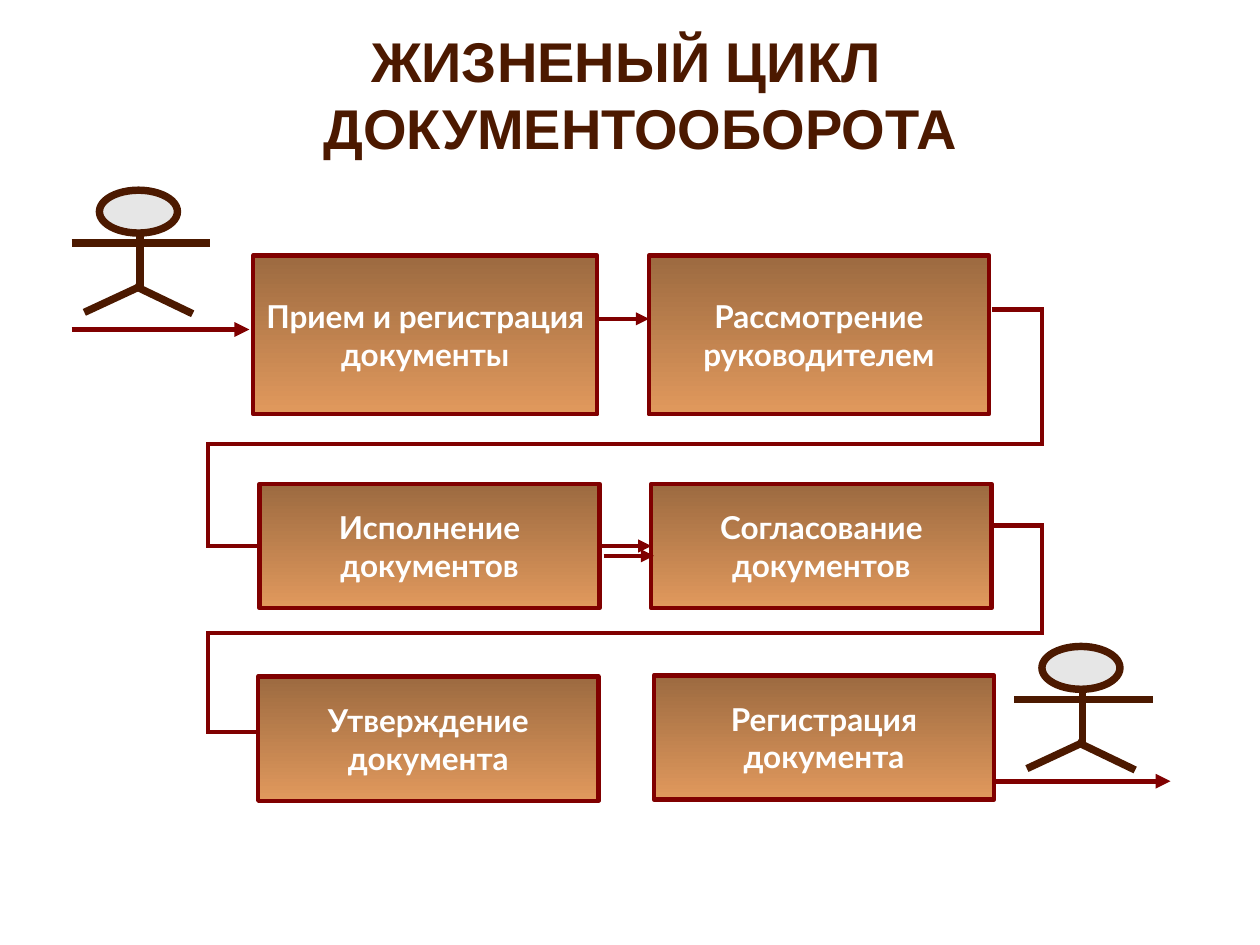
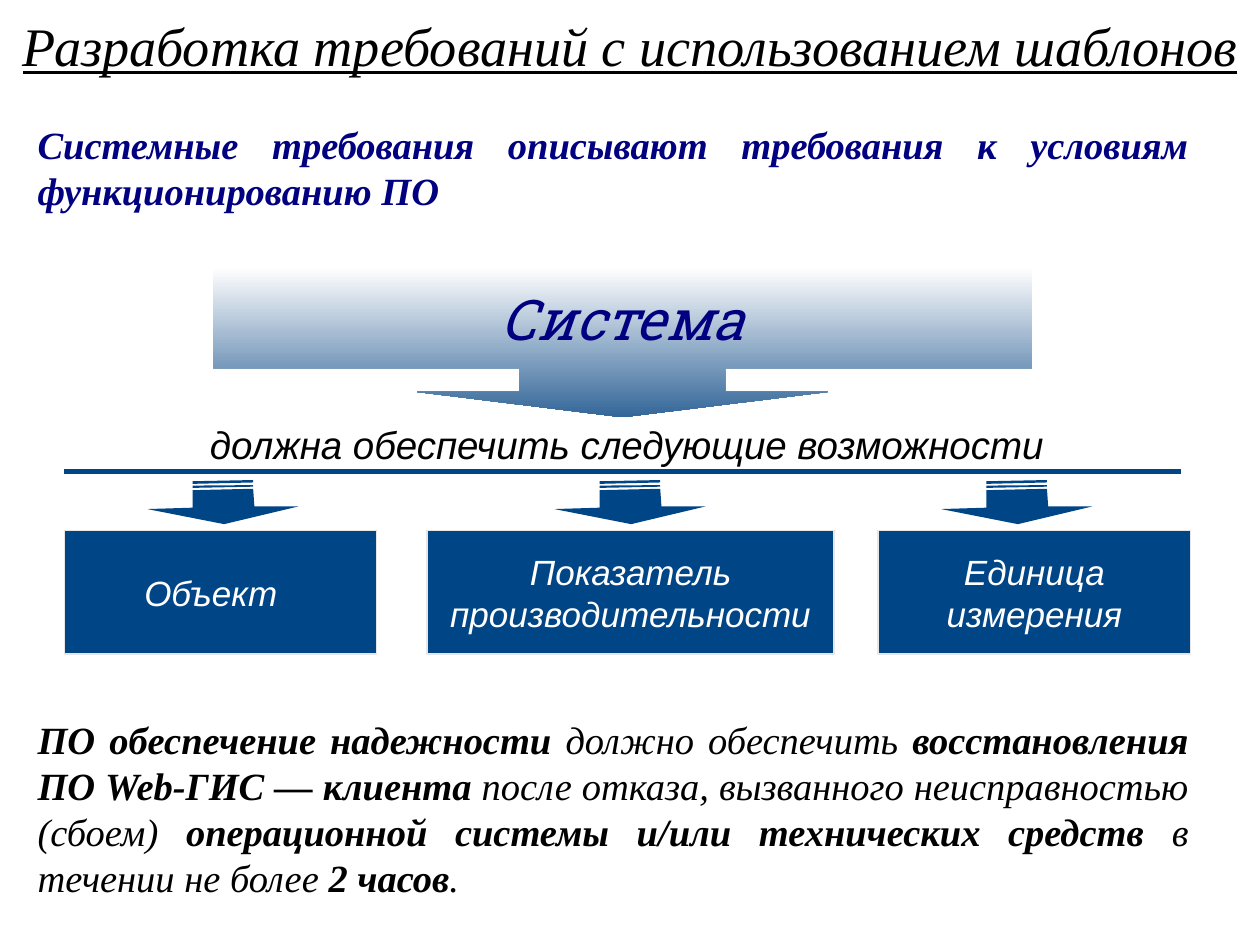
from collections import namedtuple

import pptx
import pptx.util
import pptx.dml.color
import pptx.enum.shapes
import pptx.enum.text
import pptx.oxml
import pptx.oxml.ns

Pt = pptx.util.Pt
SHAPE = pptx.enum.shapes.MSO_SHAPE
ALIGN = pptx.enum.text.PP_ALIGN
ANCHOR = pptx.enum.text.MSO_ANCHOR

COLORS = {
    "brown": "4C1900", "maroon": "800000", "copper": "9C6A40", "amber": "E1995D",
    "head": "E6E6E6", "navy": "000080", "blue": "004586", "steel": "336699",
    "mist": "FEFEFE", "white": "FFFFFF", "black": "000000",
}
TOP, LEFT, BOTTOM, RIGHT = range(4)

Box = namedtuple("Box", "left top width height")
Style = namedtuple("Style", "font size color bold italic underline align",
                   defaults=(False, False, False, ALIGN.CENTER))

LIFECYCLE_TITLE = Style("Arial", 32, "brown", bold=True)
STEP = Style("Lato", 18, "white", bold=True)
TEMPLATE_TITLE = Style("Times New Roman", 31, "black", italic=True, underline=True)
INTRO = Style("Times New Roman", 22, "navy", bold=True, italic=True, align=ALIGN.JUSTIFY)
EXAMPLE = INTRO._replace(color="black")
SYSTEM = Style("Roboto Slab", 32, "navy", italic=True)
PROMISE = Style("Arial", 22, "black", italic=True)
CARD = Style("Arial", 20, "white", italic=True)


# Shared helpers
def rgb(name):
    return pptx.dml.color.RGBColor.from_string(COLORS[name])


def shift(area, left, top, width=0, height=0):
    return Box(area.left + left, area.top + top, width, height)


def write(shape, lines, style, anchor=ANCHOR.MIDDLE, inset=(7.2, 3.6), wrap=True):
    """Each line is a list of pieces; every second piece is not bold."""
    frame = shape.text_frame
    frame.word_wrap = wrap
    frame.vertical_anchor = anchor
    frame.margin_left = frame.margin_right = Pt(inset[0])
    frame.margin_top = frame.margin_bottom = Pt(inset[1])
    for number, pieces in enumerate(lines):
        paragraph = frame.add_paragraph() if number else frame.paragraphs[0]
        paragraph.alignment = style.align
        for index, piece in enumerate(pieces):
            run = paragraph.add_run()
            run.text = piece
            run.font.name = style.font
            run.font.size = Pt(style.size)
            run.font.color.rgb = rgb(style.color)
            run.font.bold = style.bold and index % 2 == 0
            run.font.italic = style.italic
            run.font.underline = style.underline


def add_text(slide, box, lines, style, **layout):
    text = slide.shapes.add_textbox(*map(Pt, box))
    write(text, lines, style, **layout)
    return text


def indent(paragraph, side, points):
    paragraph._p.get_or_add_pPr().set(side, str(Pt(points)))


def add_block(shapes, kind, box, fill, line=None, line_width=0):
    block = shapes.add_shape(kind, *map(Pt, box))
    block.shadow.inherit = False
    if isinstance(fill, tuple):
        block.fill.gradient()
        block.fill.gradient_angle = 270
        for stop, name, position in zip(block.fill.gradient_stops, fill, (0, 1)):
            stop.color.rgb = rgb(name)
            stop.position = position
    else:
        block.fill.solid()
        block.fill.fore_color.rgb = rgb(fill)
    if line:
        block.line.color.rgb = rgb(line)
        block.line.width = Pt(line_width)
    else:
        block.line.fill.background()
    return block


def add_line(shapes, start, end, color="maroon", width=2.5, arrow=False):
    line = shapes.add_connector(pptx.enum.shapes.MSO_CONNECTOR.STRAIGHT,
                                *map(Pt, (*start, *end)))
    line.line.color.rgb = rgb(color)
    line.line.width = Pt(width)
    if arrow:
        tip = pptx.oxml.parse_xml(
            '<a:tailEnd %s type="triangle"/>' % pptx.oxml.ns.nsdecls("a"))
        line.line._get_or_add_ln().append(tip)
    line._element.spPr.append(
        pptx.oxml.parse_xml("<a:effectLst %s/>" % pptx.oxml.ns.nsdecls("a")))
    return line


# Slide 1: document life cycle
def draw_person(slide, area):
    figure = slide.shapes.add_group_shape().shapes
    add_block(figure, SHAPE.OVAL, shift(area, 15.8, 0, 44.6, 24.5), "head", "brown", 4.25)
    limbs = [
        ((0, 30.2), (79.2, 30.2)),       # arms
        ((38.9, 25.2), (38.9, 56.2)),    # body
        ((7.2, 69.8), (38.2, 55.4)),     # legs
        ((69.1, 70.6), (36, 54.7)),
    ]
    for start, end in limbs:
        add_line(figure, shift(area, *start)[:2], shift(area, *end)[:2], "brown", 4.25)


def draw_return(slide, area, exit_y, lane_y, entry_y, next_step=None):
    """Path from the right end of a row back to the left of the next one."""
    def leg(start, end):
        return add_line(slide.shapes, shift(area, *start)[:2], shift(area, *end)[:2])

    lap = 1.25
    right = area.width
    leg((right - 29, exit_y), (right, exit_y))
    leg((right, exit_y - lap), (right, lane_y + lap))
    leg((0, lane_y), (right, lane_y))
    leg((0, lane_y - lap), (0, entry_y + lap))
    entry = leg((0, entry_y), (28.6, entry_y))
    if next_step:
        entry.end_connect(next_step, LEFT)


def draw_steps(slide, area):
    rows = [
        (("Прием и регистрация документы", 25.7, 0, 196.6),
         ("Рассмотрение руководителем", 251.8, 0, 194.4), 90.7),
        (("Исполнение документов", 29.3, 130.5, 194.4),
         ("Согласование документов", 253.2, 130.5, 194.4), 71),
        (("Утверждение документа", 28.6, 240.6, 194.4),
         ("Регистрация документа", 254.7, 239.9, 194.4), 71),
    ]
    steps = []
    for *pair, height in rows:
        for label, left, top, width in pair:
            step = add_block(slide.shapes, SHAPE.RECTANGLE,
                             shift(area, left, top, width, height),
                             ("copper", "amber"), "maroon", 2.5)
            write(step, [[label]], STEP)
            steps.append(step)

    # Arrows inside the rows
    for start_x, end_x, y in ((222.3, 251.8, 36.2), (225.9, 254.7, 171.6)):
        add_line(slide.shapes, shift(area, start_x, y)[:2],
                 shift(area, end_x, y)[:2], arrow=True)
    middle = add_line(slide.shapes, shift(area, 223.7, 166)[:2],
                      shift(area, 253.2, 166)[:2], arrow=True)
    middle.begin_connect(steps[2], RIGHT)
    middle.end_connect(steps[3], LEFT)

    # Returns between the rows
    draw_return(slide, area, 30.8, 107.8, 166, steps[2])
    draw_return(slide, area, 154.2, 215.8, 172.3 + 100)


def build_lifecycle(slide):
    title = add_text(slide, Box(39.6, 11.5, 654.5, 84.2),
                     [["ЖИЗНЕНЫЙ ЦИКЛ"], ["ДОКУМЕНТООБОРОТА"]], LIFECYCLE_TITLE)
    first, second = title.text_frame.paragraphs
    indent(first, "marR", 18)
    indent(second, "marL", 16)
    draw_steps(slide, Box(119, 146, 476.6, 312))
    # People who send and receive, each with an arrow below
    for left, top, arrow_x, arrow_y in ((41, 108.7, 0, 79.6), (579.6, 369.4, -12.2, 77)):
        person = Box(left, top, 79.2, 70.6)
        draw_person(slide, person)
        add_line(slide.shapes, shift(person, arrow_x, arrow_y)[:2],
                 shift(person, arrow_x + 101.5, arrow_y)[:2], width=2.83, arrow=True)


# Slide 2: requirement template
def draw_striped_arrow(slide, area):
    outlines = [
        [(86.4, 15.1), (43.9, 25.2), (0, 16.6), (25.9, 15.8),
         (25.9, 5.8), (60.5, 5), (61.2, 15.1)],
        [(60.5, 0), (25.9, 0.7), (25.9, 2.2), (60.5, 1.4)],
        [(60.5, 2.9), (25.9, 3.2), (25.9, 4.5), (60.5, 3.8)],
    ]
    builder = None
    for outline in outlines:
        first, *rest = [tuple(map(Pt, shift(area, x, y)[:2])) for x, y in outline]
        if builder is None:
            builder = slide.shapes.build_freeform(*first, scale=1.0)
        else:
            builder.move_to(*first)
        builder.add_line_segments(rest, close=True)
    arrow = builder.convert_to_shape()
    arrow.shadow.inherit = False
    arrow.fill.solid()
    arrow.fill.fore_color.rgb = rgb("blue")
    arrow.line.fill.background()


def draw_system(slide, area):
    system = add_block(slide.shapes, SHAPE.DOWN_ARROW_CALLOUT, area, ("mist", "steel"))
    for index, value in enumerate((1.38, 1.38, 0.17, 0.67)):
        system.adjustments[index] = value
    write(system, [["Система"]], SYSTEM, wrap=False)


def draw_parts(slide, area):
    add_line(slide.shapes, area[:2], shift(area, 638, 0)[:2], "blue", 2.83)
    parts = [
        ("Объект", 0, 178.6, 47.5),
        ("Показатель производительности", 207.4, 232.6, 280.1),
        ("Единица измерения", 465.1, 178.6, 501.1),
    ]
    for label, left, width, arrow_left in parts:
        card = add_block(slide.shapes, SHAPE.RECTANGLE,
                         shift(area, left, 33.8, width, 70.6), "blue", "head", 0.75)
        write(card, [[label]], CARD, inset=(7.9, 4.3))
        if label == "Объект":
            indent(card.text_frame.paragraphs[0], "marR", 11)
        draw_striped_arrow(slide, shift(area, arrow_left, 5))


def build_template(slide):
    add_text(slide, Box(0, -2.9, 720, 56.9),
             [["Разработка требований с использованием шаблонов"]],
             TEMPLATE_TITLE, inset=(1.4, 1.4))
    add_text(slide, Box(14.4, 65.5, 671.8, 60.5),
             [["Системные требования описывают требования к условиям функционированию ПО"]],
             INTRO, anchor=ANCHOR.TOP)
    draw_system(slide, Box(121.7, 153.4, 468, 85))
    add_text(slide, Box(67.7, 218.2, 581, 70.6),
             [["должна обеспечить следующие возможности"]], PROMISE, inset=(10.8, 7.2))
    draw_parts(slide, Box(36.7, 269.3, 643.7, 104.4))
    add_text(slide, Box(14.4, 405.4, 671.8, 113), [[
        "ПО обеспечение надежности", " должно обеспечить ",
        "восстановления ПО Web-ГИС — клиента",
        " после отказа, вызванного неисправностью (сбоем) ",
        "операционной системы и/или технических средств",
        " в течении не более ", "2 часов", ".",
    ]], EXAMPLE, anchor=ANCHOR.TOP)


def main():
    deck = pptx.Presentation()
    deck.slide_width, deck.slide_height = Pt(720), Pt(540)
    blank = deck.slide_layouts[6]
    for build in (build_lifecycle, build_template):
        build(deck.slides.add_slide(blank))
    deck.save("out.pptx")


if __name__ == "__main__":
    main()
